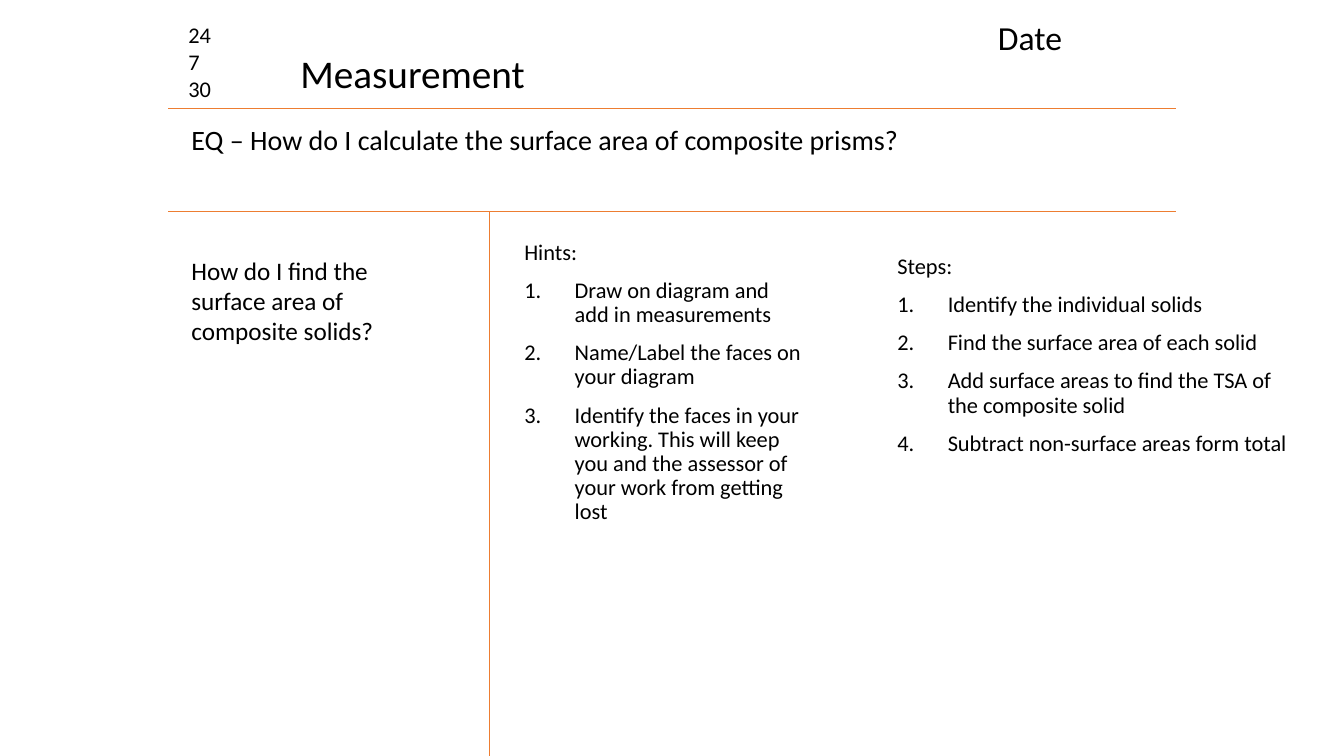
from lxml.etree import SubElement
from pptx import Presentation
from pptx.dml.color import RGBColor
from pptx.enum.shapes import MSO_CONNECTOR as Connector
from pptx.enum.text import MSO_ANCHOR as Anchor, MSO_AUTO_SIZE as AutoSize, PP_ALIGN as Align
from pptx.oxml.ns import qn
from pptx.util import Inches, Pt

ORANGE = RGBColor(0xED, 0x7D, 0x31)
BLACK = RGBColor(0, 0, 0)
FONT = "Calibri"
TWO_CONTENT_LAYOUT = 3

HINTS = [
    "Draw on diagram and add in measurements",
    "Name/Label the faces on your diagram",
    "Identify the faces in your working. This will keep you and the assessor of "
    "your work from getting lost",
]
STEPS = [
    "Identify the individual solids",
    "Find the surface area of each solid",
    "Add surface areas to find the TSA of the composite solid",
    "Subtract non-surface areas form total",
]


def apply_format(target, values):
    for name, value in values.items():
        setattr(target, name, value)


def place(box, left, top, width, height):
    apply_format(box, {"left": Inches(left), "top": Inches(top),
                       "width": Inches(width), "height": Inches(height)})


def format_para(para, size):
    apply_format(para.font, {"name": FONT, "size": Pt(size), "bold": False})
    para.font.color.rgb = BLACK


def fill_frame(box, lines, wrap=True):
    frame = box.text_frame
    apply_format(frame, {"word_wrap": wrap, "auto_size": AutoSize.NONE,
                         "vertical_anchor": Anchor.TOP})
    frame.text = "\n".join(lines)
    return frame.paragraphs


def write_text(box, lines, size, wrap=True):
    for para in fill_frame(box, lines, wrap):
        para.alignment = Align.LEFT
        format_para(para, size)


def add_label(page, area, lines, size):
    box = page.shapes.add_textbox(*map(Inches, area))
    write_text(box, lines, size)


def add_rule(page, start, end):
    rule = page.shapes.add_connector(Connector.STRAIGHT, *map(Inches, start + end))
    rule.line.color.rgb = ORANGE
    rule.line.width = Pt(0.5)
    SubElement(rule._element.spPr, qn("a:effectLst"))


def set_numbering(para, numbered):
    properties = para._p.get_or_add_pPr()
    indent = Inches(0.5) if numbered else 0
    properties.set("marL", str(indent))
    properties.set("indent", str(-indent))
    if numbered:
        SubElement(properties, qn("a:buFont"), typeface="+mj-lt")
        SubElement(properties, qn("a:buAutoNum"), type="arabicPeriod")
    else:
        SubElement(properties, qn("a:buNone"))


def fill_list(box, area, heading, items):
    place(box, *area)
    for index, para in enumerate(fill_frame(box, [heading] + items)):
        set_numbering(para, numbered=index > 0)
        apply_format(para, {"line_spacing": 0.9, "alignment": Align.LEFT,
                            "space_before": Pt(10 if index else 0)})
        format_para(para, 16)


def main():
    deck = Presentation()
    deck.slide_width, deck.slide_height = Inches(13.33), Inches(7.5)
    page = deck.slides.add_slide(deck.slide_layouts[TWO_CONTENT_LAYOUT])

    # Note-page rules
    for height in (1.08, 2.1):
        add_rule(page, (1.67, height), (11.66, height))
    add_rule(page, (4.85, 2.1), (4.85, 7.5))

    # Header
    title = page.shapes.title
    place(title, 2.88, 0.44, 2.45, 0.57)
    write_text(title, ["Measurement"], 28, wrap=False)
    add_label(page, (1.77, 0.16, 0.63, 0.91), ["24", "7", "30"], 16)
    add_label(page, (9.8, 0.12, 1.73, 0.5), ["Date"], 24)

    # Questions
    add_label(page, (1.8, 1.17, 10.04, 0.44),
              ["EQ – How do I calculate the surface area of composite prisms?"], 20)
    add_label(page, (1.8, 2.48, 2.6, 1.01),
              ["How do I find the surface area of composite solids?"], 18)

    # Numbered lists
    fill_list(page.placeholders[1], (5.1, 2.34, 3, 3.05), "Hints:", HINTS)
    fill_list(page.placeholders[2], (8.8, 2.48, 4.18, 3.05), "Steps:", STEPS)

    deck.save("out.pptx")


if __name__ == "__main__":
    main()
